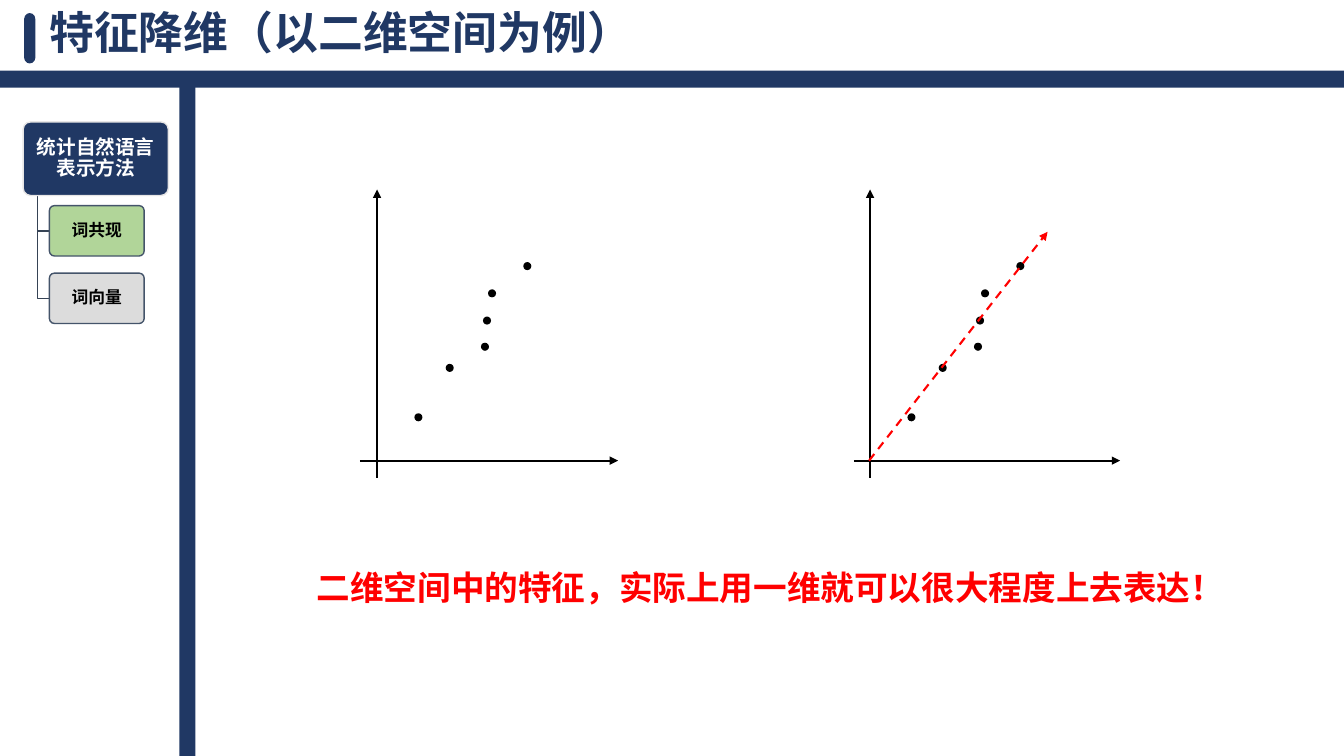
from dataclasses import dataclass

from lxml.etree import SubElement
from pptx import Presentation
from pptx.dml.color import RGBColor
from pptx.enum.dml import MSO_LINE
from pptx.enum.shapes import MSO_CONNECTOR, MSO_SHAPE
from pptx.enum.text import MSO_ANCHOR, PP_ALIGN
from pptx.oxml.ns import qn
from pptx.util import Inches, Pt


@dataclass(frozen=True)
class Theme:
    navy: RGBColor = RGBColor(0x20, 0x38, 0x64)
    black: RGBColor = RGBColor(0, 0, 0)
    white: RGBColor = RGBColor(255, 255, 255)
    red: RGBColor = RGBColor(255, 0, 0)
    green: RGBColor = RGBColor(0xA9, 0xD1, 0x8E)
    grey: RGBColor = RGBColor(0xD9, 0xD9, 0xD9)
    topic_edge: RGBColor = RGBColor(0xE7, 0xE6, 0xE6)
    method_edge: RGBColor = RGBColor(0x44, 0x54, 0x6A)
    branch: RGBColor = RGBColor(0x36, 0x43, 0x55)
    title_font: str = "Cabin"
    body_font: str = "Arial"
    title_size: int = 32
    conclusion_size: int = 24
    topic_size: int = 14
    method_size: int = 12


theme = Theme()
prs = Presentation()
prs.slide_width = Inches(13.33)
prs.slide_height = Inches(7.5)
slide = prs.slides.add_slide(prs.slide_layouts[6])


def add_solid(shapes, kind, left, top, width, height, color):
    solid = shapes.add_shape(kind, Inches(left), Inches(top), Inches(width), Inches(height))
    solid.shadow.inherit = False
    solid.fill.solid()
    solid.fill.fore_color.rgb = color
    solid.line.fill.background()
    return solid


def add_arrow(start, end, color):
    arrow = slide.shapes.add_connector(
        MSO_CONNECTOR.STRAIGHT, *(Inches(v) for v in (*start, *end)))
    arrow.line.color.rgb = color
    arrow.line.width = Pt(1.5)
    SubElement(arrow.line._get_or_add_ln(), qn("a:tailEnd"), type="triangle")
    SubElement(arrow.element.spPr, qn("a:effectLst"))
    return arrow


# Frame bars and title marker
add_solid(slide.shapes, MSO_SHAPE.RECTANGLE, 0, 0.7, 13.33, 0.17, theme.navy)
add_solid(slide.shapes, MSO_SHAPE.RECTANGLE, 1.78, 0.75, 0.16, 6.75, theme.navy)
marker = add_solid(slide.shapes, MSO_SHAPE.ROUNDED_RECTANGLE, 0.24, 0.13, 0.11, 0.5, theme.navy)
marker.adjustments[0] = 0.5

# Title and conclusion
headlines = [
    ("特征降维（以二维空间为例）", 0.39, 0.1, 11.5, 0.5, 0.1, 0.9, True,
     theme.title_font, theme.title_size, theme.navy),
    ("二维空间中的特征，实际上用一维就可以很大程度上去表达！", 3.14, 5.62, 9.09, 0.4, 0, 1.0, False,
     theme.body_font, theme.conclusion_size, theme.red),
]
for words, left, top, width, height, inset, spacing, wrap, font, size, color in headlines:
    headline = slide.shapes.add_textbox(Inches(left), Inches(top), Inches(width), Inches(height))
    frame = headline.text_frame
    frame.word_wrap = wrap
    frame.vertical_anchor = MSO_ANCHOR.MIDDLE
    frame.margin_left = frame.margin_right = Inches(inset)
    frame.margin_top = frame.margin_bottom = Inches(0)
    frame.text = words
    paragraph = frame.paragraphs[0]
    paragraph.line_spacing = spacing
    run_font = paragraph.runs[0].font
    run_font.name, run_font.size, run_font.bold = font, Pt(size), True
    run_font.color.rgb = color

# Two scatter plots with the same points, measured from each origin
origin_y = 4.57
dot_size = 0.08
points = [(0.37, 0.47), (0.68, 0.96), (1.03, 1.17), (1.05, 1.43), (1.1, 1.7), (1.45, 1.97)]
for origin_x, axis_start, axis_end in [(3.74, 3.57, 6.13), (8.63, 8.47, 11.11)]:
    add_arrow((axis_start, origin_y), (axis_end, origin_y), theme.black)
    add_arrow((origin_x, 4.74), (origin_x, 1.88), theme.black)
    dots = slide.shapes.add_group_shape()
    for dx, dy in points:
        add_solid(dots.shapes, MSO_SHAPE.OVAL, origin_x + dx, origin_y - dy,
                  dot_size, dot_size, theme.black)

# Single direction that captures the points
direction = add_arrow((8.62, origin_y), (10.39, 2.3), theme.red)
direction.line.dash_style = MSO_LINE.DASH

# Outline branches from the topic to each method
method_tops = [2.04, 2.71]
method_height = 0.5
for top in method_tops:
    middle = top + method_height / 2
    builder = slide.shapes.build_freeform(Inches(0.37), Inches(1.94))
    builder.add_line_segments(
        [(Inches(0.37), Inches(middle)), (Inches(0.49), Inches(middle))], close=False)
    branch = builder.convert_to_shape()
    branch.shadow.inherit = False
    branch.fill.background()
    branch.line.color.rgb = theme.branch
    branch.line.width = Pt(1)

# Outline cards
cards = [
    ("统计自然语言表示方法", 0.23, 1.21, 1.44, 0.73, theme.navy, 100,
     theme.topic_edge, theme.topic_size, theme.white),
    ("词共现", 0.49, method_tops[0], 0.94, method_height, theme.green, 90,
     theme.method_edge, theme.method_size, theme.black),
    ("词向量", 0.49, method_tops[1], 0.94, method_height, theme.grey, 90,
     theme.method_edge, theme.method_size, theme.black),
]
for words, left, top, width, height, fill, opacity, edge, size, color in cards:
    card = add_solid(slide.shapes, MSO_SHAPE.ROUNDED_RECTANGLE, left, top, width, height, fill)
    card.adjustments[0] = 0.1
    if opacity < 100:
        fill_color = card.element.spPr.find(qn("a:solidFill")).find(qn("a:srgbClr"))
        SubElement(fill_color, qn("a:alpha"), val=str(opacity * 1000))
    card.line.color.rgb = edge
    card.line.width = Pt(1)
    frame = card.text_frame
    frame.word_wrap = True
    frame.vertical_anchor = MSO_ANCHOR.MIDDLE
    frame.margin_left = frame.margin_right = Inches(0.05)
    frame.margin_top = frame.margin_bottom = Inches(0.04)
    frame.text = words
    paragraph = frame.paragraphs[0]
    paragraph.alignment = PP_ALIGN.CENTER
    paragraph.line_spacing = 0.9
    run_font = paragraph.runs[0].font
    run_font.name, run_font.size, run_font.bold = theme.body_font, Pt(size), True
    run_font.color.rgb = color

prs.save("out.pptx")
